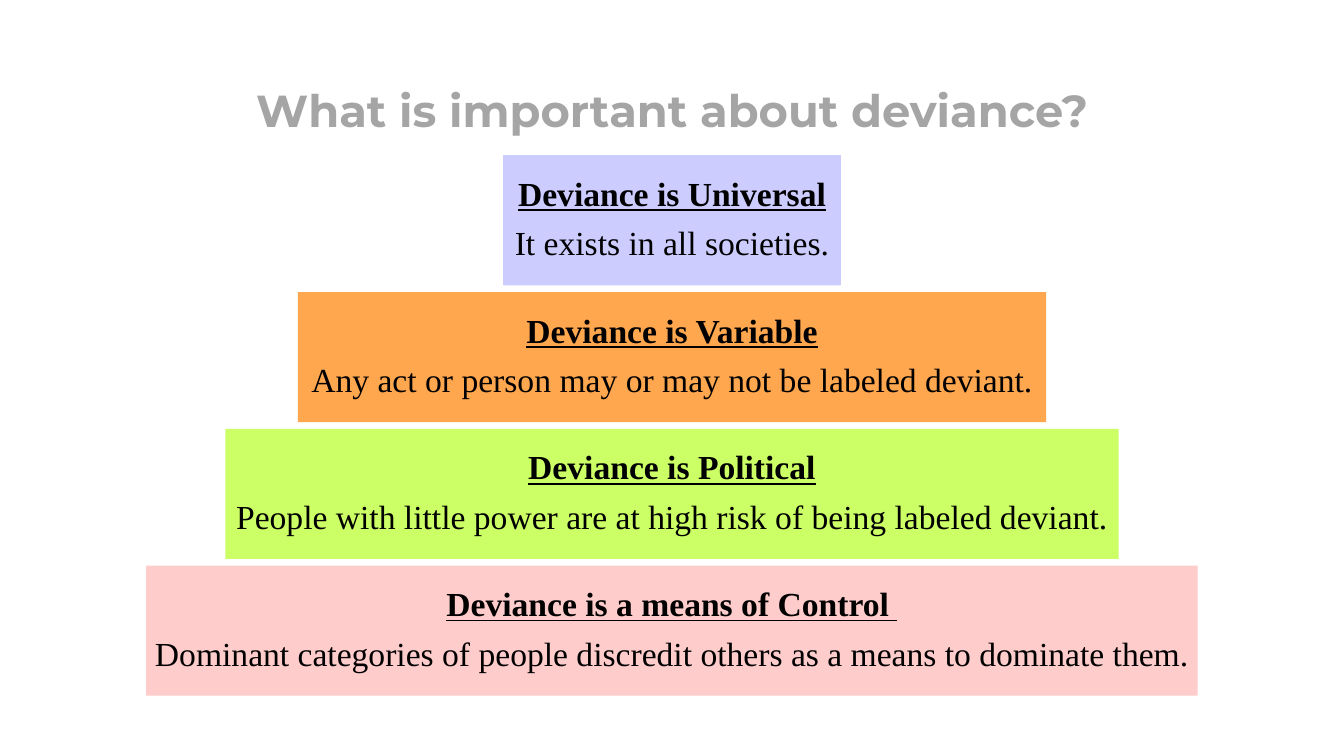
import pptx
import pptx.dml.color
import pptx.enum.shapes
import pptx.enum.text
import pptx.util

Inches = pptx.util.Inches
Pt = pptx.util.Pt
SLIDE_W = 13.33
TIER_TOP, TIER_H, TIER_PITCH = 1.54, 1.29, 1.357
TIERS = [
    (3.35, "CCCCFF", "Deviance is Universal", "It exists in all societies."),
    (7.42, "FFA74F", "Deviance is Variable",
     "Any act or person may or may not be labeled deviant."),
    (8.86, "CCFF66", "Deviance is Political",
     "People with little power are at high risk of being labeled deviant."),
    (10.43, "FFCCCC", "Deviance is a means of Control ",
     "Dominant categories of people discredit others as a means to dominate them."),
]


def rgb(value):
    """Return the colour for a hex string."""
    return pptx.dml.color.RGBColor.from_string(value)


def add_line(p, text, font, size, color, bold=False, underline=False):
    """Write one centred line of formatted text into a paragraph."""
    p.alignment = pptx.enum.text.PP_ALIGN.CENTER
    p.line_spacing = 0.9
    r = p.add_run()
    r.text = text
    r.font.name = font
    r.font.size = Pt(size)
    r.font.color.rgb = rgb(color)
    r.font.bold = bold
    r.font.underline = underline


def set_title(s, text):
    """Place and fill the title placeholder."""
    sp = s.shapes.title
    sp.left, sp.top = Inches(0.92), Inches(0.4)
    sp.width, sp.height = Inches(11.5), Inches(1.45)
    tf = sp.text_frame
    tf.vertical_anchor = pptx.enum.text.MSO_ANCHOR.MIDDLE
    add_line(tf.paragraphs[0], text, "Montserrat", 32, "A5A5A5", bold=True)


def add_tier(s, top, width, fill, heading, detail):
    """Add one centred pyramid tier with its heading and detail."""
    sp = s.shapes.add_shape(
        pptx.enum.shapes.MSO_SHAPE.RECTANGLE,
        Inches((SLIDE_W - width) / 2), Inches(top), Inches(width), Inches(TIER_H))
    sp.shadow.inherit = False
    sp.fill.solid()
    sp.fill.fore_color.rgb = rgb(fill)
    sp.line.fill.background()
    tf = sp.text_frame
    tf.word_wrap = True
    tf.vertical_anchor = pptx.enum.text.MSO_ANCHOR.MIDDLE
    tf.margin_left = tf.margin_right = Inches(0.07)
    tf.margin_top = tf.margin_bottom = Inches(0.07)
    p = tf.paragraphs[0]
    p.space_after = Pt(9.5)
    add_line(p, heading, "Times New Roman", 24, "000000", bold=True, underline=True)
    add_line(tf.add_paragraph(), detail, "Times New Roman", 24, "000000")


def main():
    """Build the slide and save it."""
    prs = pptx.Presentation()
    prs.slide_width, prs.slide_height = Inches(SLIDE_W), Inches(7.5)
    s = prs.slides.add_slide(prs.slide_layouts[5])
    set_title(s, "What is important about deviance?")
    for i, tier in enumerate(TIERS):
        add_tier(s, TIER_TOP + i * TIER_PITCH, *tier)
    prs.save("out.pptx")


if __name__ == "__main__":
    main()
